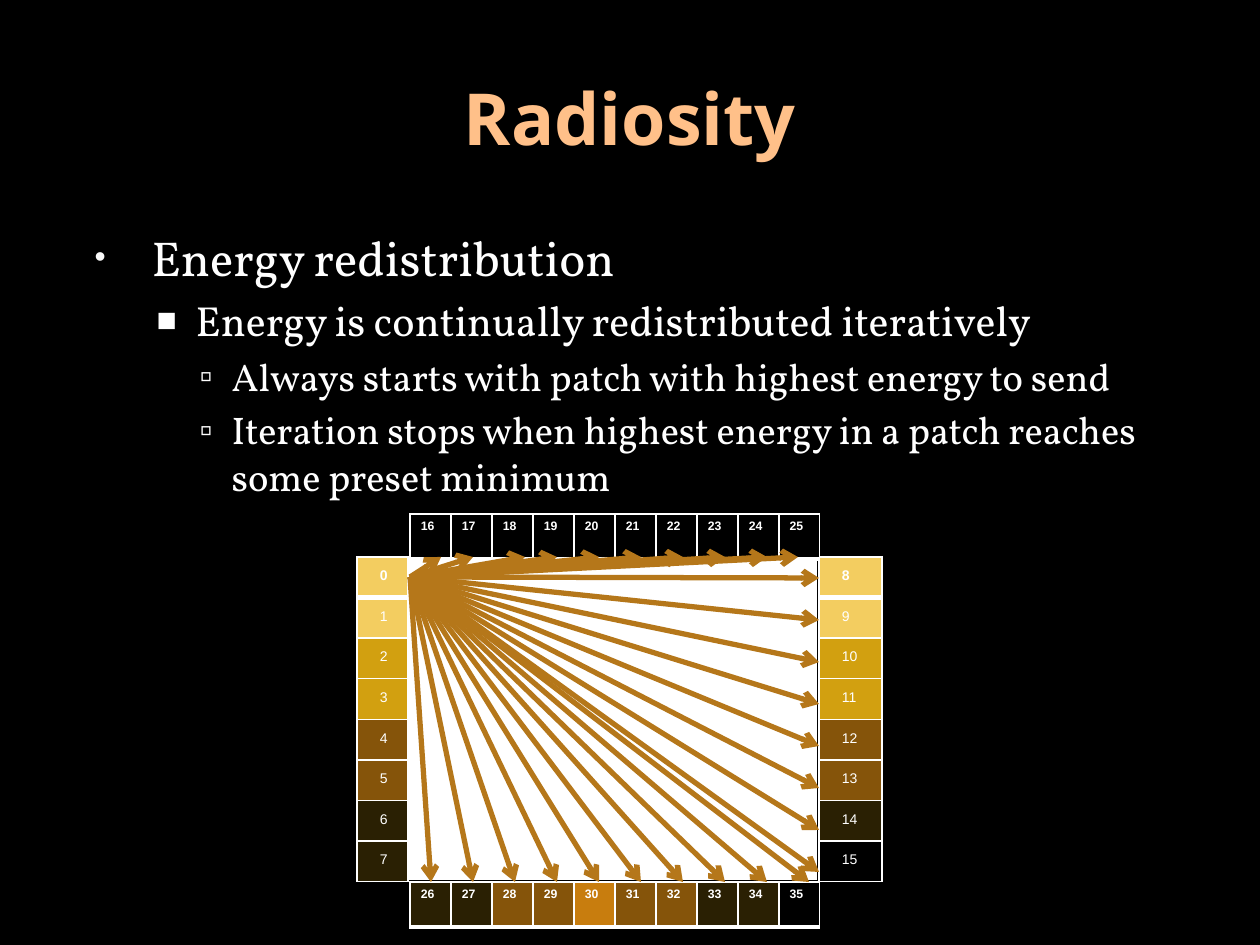
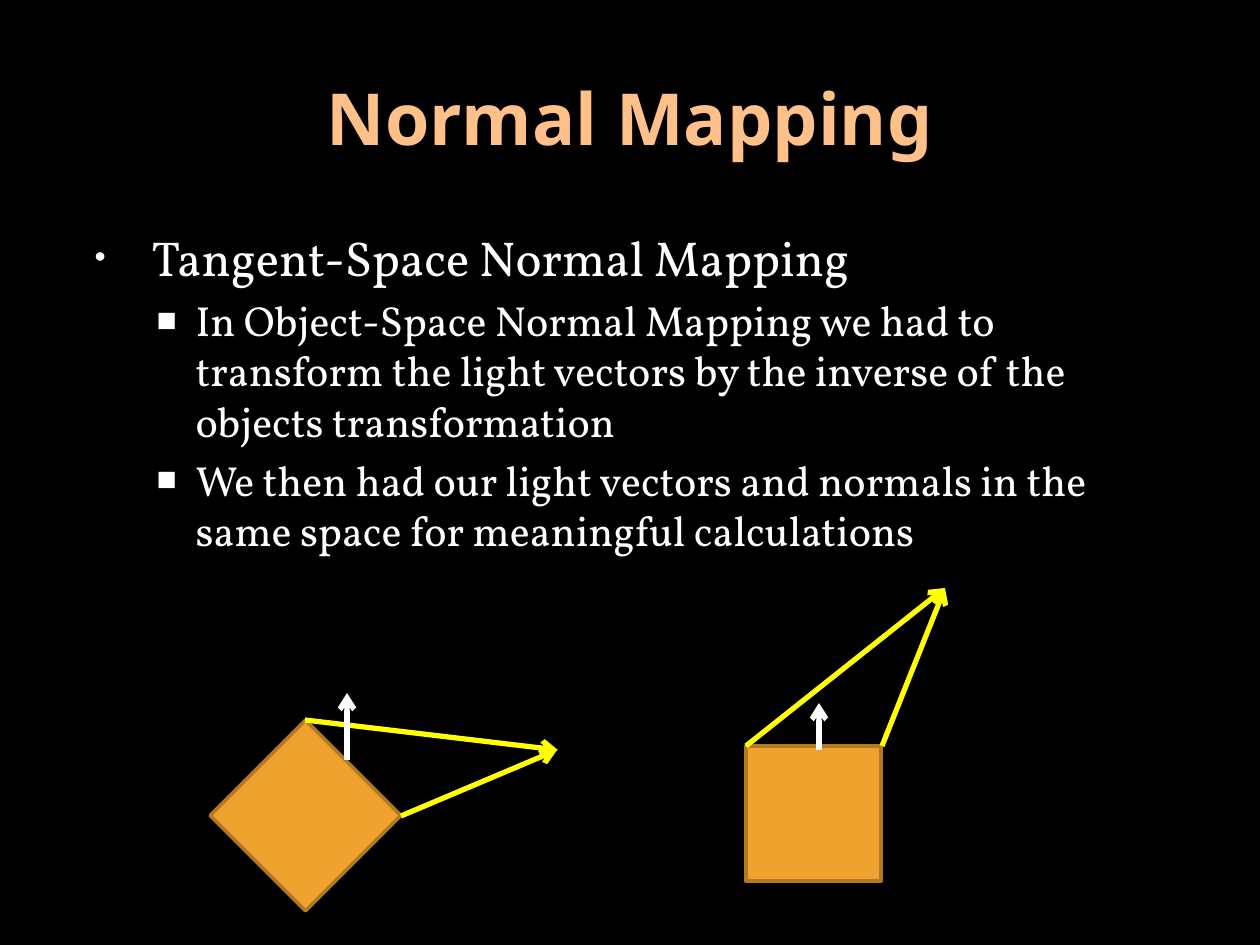
from lxml import etree
from pptx import Presentation
from pptx import util as u
from pptx.dml.color import RGBColor
from pptx.enum import shapes, text
from pptx.oxml import ns

PX = 914400 / 126
BLACK, WHITE, PEACH, PALE = "000000", "FFFFFF", "FFC089", "F9F9F9"
RAY, LIGHT, CUBE, CUBE_EDGE = "B5771A", "FFFF00", "F0A22E", "B27822"
BRIGHT, GOLD, AMBER, BROWN, DARK = "F3CD60", "D2A010", "C87D0E", "85540A", "2A2003"

TITLE_BOX = (63, 38, 1134, 157)
BODY_BOX = (63, 221, 1134, 649)
LEVELS = [
    {"margin": 76, "indent": -57, "bullet": "•", "color": PALE, "percent": 65, "size": 28},
    {"margin": 120, "indent": -39, "bullet": "■", "color": WHITE, "percent": 80, "size": 24},
    {"margin": 156, "indent": -32, "bullet": "▫", "color": WHITE, "percent": 95, "size": 22},
]

RADIOSITY = [
    (0, "Energy redistribution"),
    (1, "Energy is continually redistributed iteratively"),
    (2, "Always starts with patch with highest energy to send"),
    (2, "Iteration stops when highest energy in a patch reaches some preset minimum"),
]
ROOM = (388, 557, 431, 325)
WALL = [BRIGHT, BRIGHT, GOLD, GOLD, BROWN, BROWN, DARK]
SIDE_WALLS = [
    ((357, 557, 49, 325), 0, WALL + [DARK]),
    ((819, 557, 63, 325), 8, WALL + [BLACK]),
]
FLOOR = [DARK, DARK, BROWN, BROWN, AMBER, BROWN, BROWN, DARK, DARK, BLACK]
FLAT_WALLS = [
    ((410, 514, 410, 45), 16, [BLACK] * 10),
    ((410, 882, 410, 45), 26, FLOOR),
]
SENDER = (410, 577)
RAY_STEP = 42
CEILING_HITS = [(x, 557) for x in (441, 473, 525, 557, 599, 641, 683, 725, 767, 798)]
WALL_HITS = [(819, 578 + RAY_STEP * i) for i in range(8)]
FLOOR_HITS = [(431 + RAY_STEP * i, 882) for i in range(10)]

NORMAL_MAPPING = [
    (0, "Tangent-Space Normal Mapping"),
    (1, "In Object-Space Normal Mapping we had to transform the light vectors "
        "by the inverse of the objects transformation"),
    (1, "We then had our light vectors and normals in the same space "
        "for meaningful calculations"),
]
UPRIGHT_CUBE = (746, 746, 135, 135)
UPRIGHT_LIGHT = [((746, 746), (945, 588)), ((882, 746), (945, 588))]
TILTED_CUBE = (238, 748, 135, 135)
TILTED_LIGHT = [((305, 720), (558, 750)), ((401, 816), (557, 750))]
NORMALS = [((347, 760), (347, 693)), ((819, 750), (819, 703))]


def emu(*lengths):
    return [u.Emu(round(length * PX)) for length in lengths]


def rgb(color):
    return RGBColor.from_string(color)


def add_xml(parent, tag, **attributes):
    return etree.SubElement(parent, ns.qn(tag), attributes)


def paint(target, color):
    target.fill.solid()
    target.fill.fore_color.rgb = rgb(color)


def set_font(font, name, size, color, bold=False):
    font.name, font.size, font.bold = name, u.Pt(size), bold
    font.color.rgb = rgb(color)


def place(shape, box):
    shape.left, shape.top, shape.width, shape.height = emu(*box)


def format_item(para, level):
    style = LEVELS[level]
    para.level = level
    props = para._p.get_or_add_pPr()
    margin, indent = emu(style["margin"], style["indent"])
    props.set("marL", str(margin))
    props.set("indent", str(indent))
    add_xml(add_xml(props, "a:buClr"), "a:srgbClr", val=style["color"])
    add_xml(props, "a:buSzPct", val=str(style["percent"] * 1000))
    add_xml(props, "a:buChar", char=style["bullet"])
    set_font(para.font, "Vollkorn", style["size"], WHITE)


def add_page(deck, title, items):
    page = deck.slides.add_slide(deck.slide_layouts[1])
    heading, body = page.placeholders
    place(heading, TITLE_BOX)
    heading.text_frame.text = title
    para = heading.text_frame.paragraphs[0]
    para.alignment = text.PP_ALIGN.CENTER
    set_font(para.font, "Noto Sans", 41, PEACH, True)
    place(body, BODY_BOX)
    body.text_frame.text = "\n".join(words for _, words in items)
    for frame in (heading.text_frame, body.text_frame):
        frame.auto_size = text.MSO_AUTO_SIZE.NONE
    for para, (level, _) in zip(body.text_frame.paragraphs, items):
        format_item(para, level)
    return page


def add_rectangle(parent, box, fill, edge, rotation=0):
    shape = parent.add_shape(shapes.MSO_SHAPE.RECTANGLE, *emu(*box))
    shape.shadow.inherit = False
    shape.rotation = rotation
    paint(shape, fill)
    shape.line.color.rgb = rgb(edge)
    shape.line.width = u.Pt(2)


def add_arrow(parent, start, end, color):
    arrow = parent.add_connector(shapes.MSO_CONNECTOR.STRAIGHT, *emu(*start, *end))
    arrow.line.color.rgb = rgb(color)
    arrow.line.width = u.Pt(3)
    add_xml(arrow.line._get_or_add_ln(), "a:tailEnd", type="arrow")
    add_xml(arrow._element.spPr, "a:effectLst")


def set_borders(cell, top, bottom):
    props = cell._tc.get_or_add_tcPr()
    for index, (side, width) in enumerate(zip("LRTB", (1, 1, top, bottom))):
        line = add_xml(props, f"a:ln{side}", w=str(u.Pt(width)))
        add_xml(add_xml(line, "a:solidFill"), "a:srgbClr", val=WHITE)
        props.insert(index, line)


def add_patches(page, box, first, colors, vertical):
    count = len(colors)
    rows, columns = (count, 1) if vertical else (1, count)
    table = page.shapes.add_table(rows, columns, *emu(*box)).table
    table.first_row = table.horz_banding = False
    for row in table.rows:
        row.height = emu(box[3] / rows)[0]
    for column in table.columns:
        column.width = emu(box[2] / columns)[0]
    side, end = emu(23, 11) if vertical else emu(11, 5)
    for index, (cell, color) in enumerate(zip(table.iter_cells(), colors)):
        cell.text = str(first + index)
        cell.margin_left = cell.margin_right = side
        cell.margin_top = cell.margin_bottom = end
        bold = not vertical or index == 0
        set_font(cell.text_frame.paragraphs[0].font, "Arial", 8 if vertical else 7, WHITE, bold)
        paint(cell, color)
        set_borders(cell, 3 if vertical and index == 1 else 1, 3 if bold else 1)


def add_radiosity(deck):
    page = add_page(deck, "Radiosity", RADIOSITY)
    add_rectangle(page.shapes, ROOM, WHITE, BLACK)
    for wall in SIDE_WALLS:
        add_patches(page, *wall, vertical=True)
    for wall in FLAT_WALLS:
        add_patches(page, *wall, vertical=False)
    for hit in CEILING_HITS + WALL_HITS + FLOOR_HITS:
        add_arrow(page.shapes, SENDER, hit, RAY)


def add_lit_cube(parent, box, rays, rotation=0):
    add_rectangle(parent, box, CUBE, CUBE_EDGE, rotation)
    for start, end in rays:
        add_arrow(parent, start, end, LIGHT)


def add_normal_mapping(deck):
    page = add_page(deck, "Normal Mapping", NORMAL_MAPPING)
    add_lit_cube(page.shapes, UPRIGHT_CUBE, UPRIGHT_LIGHT)
    add_lit_cube(page.shapes.add_group_shape().shapes, TILTED_CUBE, TILTED_LIGHT, 45)
    for start, end in NORMALS:
        add_arrow(page.shapes, start, end, WHITE)


def main():
    deck = Presentation()
    deck.slide_width, deck.slide_height = emu(1260, 945)
    paint(deck.slide_master.background, BLACK)
    add_radiosity(deck)
    add_normal_mapping(deck)
    deck.save("out.pptx")


if __name__ == "__main__":
    main()
